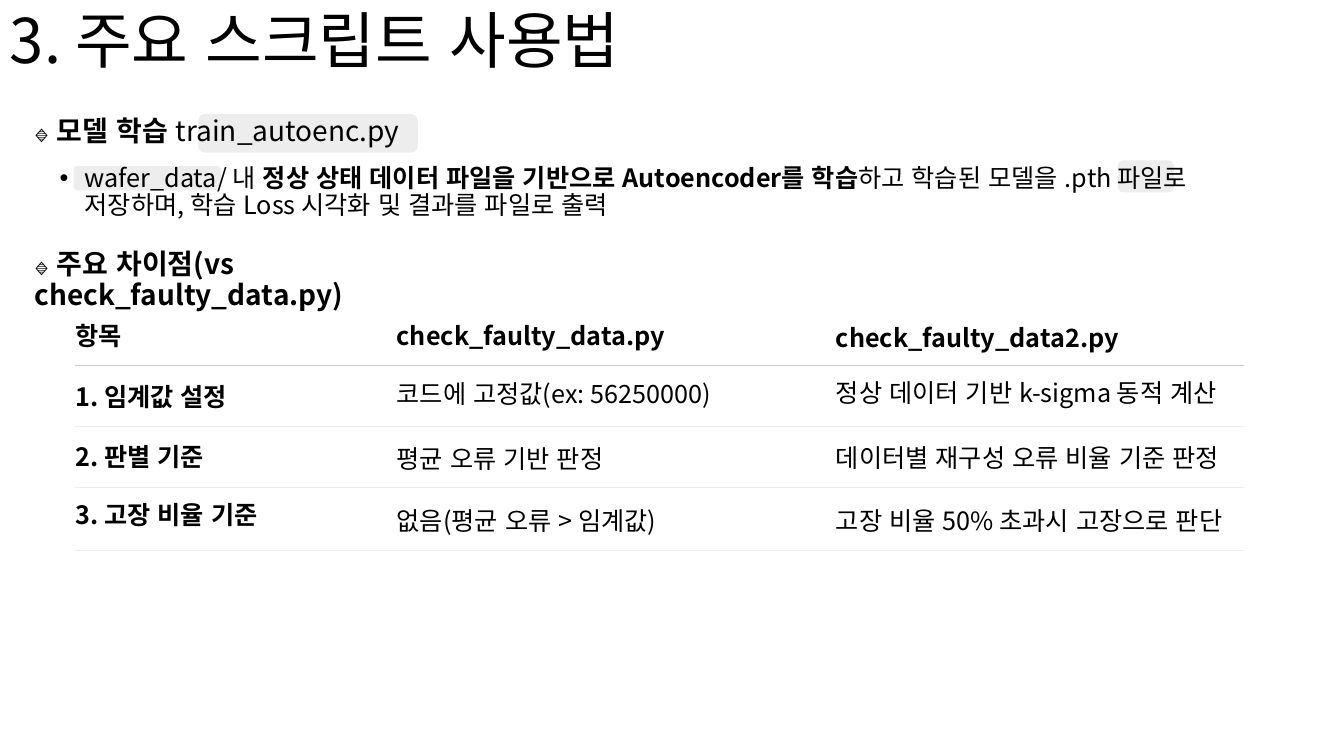
from lxml import etree
from pptx import Presentation
from pptx.dml.color import RGBColor
from pptx.enum.lang import MSO_LANGUAGE_ID
from pptx.enum.shapes import MSO_CONNECTOR, MSO_SHAPE
from pptx.enum.text import MSO_ANCHOR
from pptx.oxml.ns import qn
from pptx.util import Pt

ROUNDED, STRAIGHT = MSO_SHAPE.ROUNDED_RECTANGLE, MSO_CONNECTOR.STRAIGHT
TOP, MIDDLE = MSO_ANCHOR.TOP, MSO_ANCHOR.MIDDLE
KOREAN = MSO_LANGUAGE_ID.KOREAN
FONT = "Noto Sans CJK KR"
BLACK, HIGHLIGHT, HEADER_RULE, ROW_RULE = "000000", "EDEDED", "C9C9C9", "EDEDED"

TITLE = [("3. 주요 스크립트 사용법", 44, False)]
TRAINING_HEADING = [("🔹", 14, False), (" 모델 학습 ", 20, True), ("train_autoenc.py", 20, False)]
TRAINING_BULLET = [
    ("wafer_data/ 내 ", 18, False),
    ("정상 상태 데이터 파일을 기반으로 Autoencoder를 학습", 18, True),
    ("하고 학습된 모델을 .pth 파일로 저장하며, 학습 Loss 시각화 및 결과를 파일로 출력", 18, False),
]
DIFFERENCE_HEADING = [("🔹", 14, False), (" 주요 차이점(vs check_faulty_data.py)", 20, True)]
COMPARISON = [
    ("항목", "check_faulty_data.py", "check_faulty_data2.py"),
    ("1. 임계값 설정", "코드에 고정값(ex: 56250000)", "정상 데이터 기반 k-sigma 동적 계산"),
    ("2. 판별 기준", "평균 오류 기반 판정", "데이터별 재구성 오류 비율 기준 판정"),
    ("3. 고장 비율 기준", "없음(평균 오류 > 임계값)", "고장 비율 50% 초과시 고장으로 판단"),
]

HIGHLIGHT_BOXES = [(799, 115, 39, 22), (53, 119, 104.5, 16.5), (142, 82, 156, 26.5)]
COLUMNS = [(46.8, 230), (276.3, 256), (590, 330.5)]
CELL_TOPS = [
    (227.5, 227.5, 229),
    (271.4, 269.3, 265.7),
    (313.9, 315.4, 312.5),
    (355.7, 360, 357.1),
]
CELL_HEIGHT = 42.5
RULE_LEFT, RULE_RIGHT = 53.3, 888.5
RULES = [(260.7, HEADER_RULE), (304.6, ROW_RULE), (347.8, ROW_RULE), (393.1, ROW_RULE)]


def color(hex_value):
    return RGBColor.from_string(hex_value)


def add_text(slide, box, runs, anchor=TOP, spacing=0.9, bullet=False):
    frame = slide.shapes.add_textbox(*map(Pt, box)).text_frame
    frame.word_wrap = True
    frame.vertical_anchor = anchor
    paragraph = frame.paragraphs[0]
    paragraph.line_spacing = spacing
    if bullet:
        properties = paragraph._p.get_or_add_pPr()
        properties.set("marL", str(Pt(18)))
        properties.set("indent", str(-Pt(18)))
        etree.SubElement(properties, qn("a:buFont"), typeface="Arial")
        etree.SubElement(properties, qn("a:buChar"), char="•")
    for text, size, bold in runs:
        run = paragraph.add_run()
        run.text = text
        run.font.size = Pt(size)
        run.font.bold = bold
        run.font.language_id = KOREAN
        run.font.color.rgb = color(BLACK)
        run.font.name = FONT
        etree.SubElement(run._r.get_or_add_rPr(), qn("a:ea"), typeface=FONT)


def add_highlight(slide, box):
    shape = slide.shapes.add_shape(ROUNDED, *map(Pt, box))
    shape.shadow.inherit = False
    shape.fill.solid()
    shape.fill.fore_color.rgb = color(HIGHLIGHT)
    shape.line.color.rgb = color(HIGHLIGHT)
    shape.line.width = Pt(1)


def add_rule(slide, top, hex_value):
    rule = slide.shapes.add_connector(
        STRAIGHT, Pt(RULE_LEFT), Pt(top), Pt(RULE_RIGHT), Pt(top))
    rule.line.color.rgb = color(hex_value)
    rule.line.width = Pt(0.5)
    etree.SubElement(rule._element.spPr, qn("a:effectLst"))


def add_comparison(slide):
    for row_index, (texts, tops) in enumerate(zip(COMPARISON, CELL_TOPS)):
        for column_index, (left, width) in enumerate(COLUMNS):
            header = row_index == 0
            spacing = 1.0 if column_index == 2 and not header else 0.9
            runs = [(texts[column_index], 18, header or column_index == 0)]
            box = (left, tops[column_index], width, CELL_HEIGHT)
            add_text(slide, box, runs, spacing=spacing)
    for top, hex_value in RULES:
        add_rule(slide, top, hex_value)


def main():
    presentation = Presentation()
    presentation.slide_width, presentation.slide_height = Pt(960), Pt(540)
    slide = presentation.slides.add_slide(presentation.slide_layouts[6])
    for box in HIGHLIGHT_BOXES:
        add_highlight(slide, box)
    add_text(slide, (0, 0, 828, 62.5), TITLE, anchor=MIDDLE)
    add_text(slide, (17.5, 80.5, 490, 34.5), TRAINING_HEADING)
    add_text(slide, (35.5, 115, 848, 92), TRAINING_BULLET, bullet=True)
    add_text(slide, (17.5, 175.5, 380, 34.5), DIFFERENCE_HEADING)
    add_comparison(slide)
    presentation.save("out.pptx")


if __name__ == "__main__":
    main()
